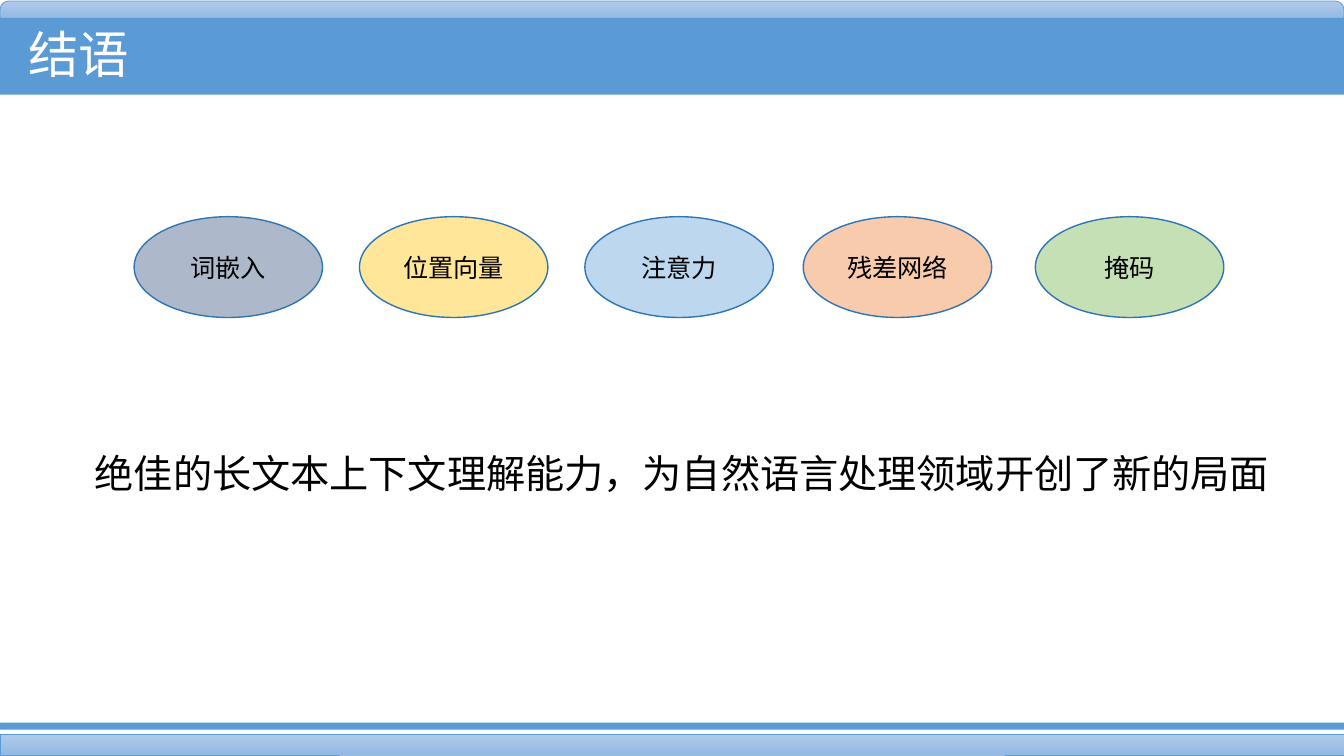
from dataclasses import dataclass

import pptx
import pptx.dml.color
import pptx.enum.shapes
import pptx.enum.text
import pptx.oxml
import pptx.oxml.ns
import pptx.presentation
import pptx.shapes.autoshape
import pptx.slide
import pptx.util

Pt = pptx.util.Pt
Shape = pptx.enum.shapes.MSO_SHAPE
Align = pptx.enum.text.PP_ALIGN
Anchor = pptx.enum.text.MSO_ANCHOR

SLIDE_WIDTH, SLIDE_HEIGHT = 960, 540
BLUE = "5B9BD5"
PALE_BLUES = ("B1CBE9", "93B9E4")
CJK_FONT = "Noto Sans CJK SC"
CONCEPT_TOP, CONCEPT_WIDTH, CONCEPT_HEIGHT = 154.8, 134.6, 72


@dataclass(frozen=True)
class Band:
    top: float
    height: float
    colors: tuple[str, ...]
    kind: Shape = Shape.RECTANGLE


@dataclass(frozen=True)
class Concept:
    label: str
    left: float
    color: str


BANDS = (
    Band(0.7, 12.3, PALE_BLUES, Shape.ROUND_2_SAME_RECTANGLE),
    Band(13, 54.7, (BLUE,)),
    Band(524.2, 15.1, PALE_BLUES),
    Band(516.2, 5, (BLUE,)),
)
CONCEPTS = (
    Concept("词嵌入", 95.8, "ADB9CA"),
    Concept("位置向量", 256.8, "FFE699"),
    Concept("注意力", 417.8, "BDD7EE"),
    Concept("残差网络", 573.8, "F8CBAD"),
    Concept("掩码", 739.6, "C5E0B4"),
)


def rgb(color: str) -> pptx.dml.color.RGBColor:
    return pptx.dml.color.RGBColor.from_string(color)


def write(shape: pptx.shapes.autoshape.Shape, text: str, *, size: float,
          font: str = "Calibri", color: str = "000000",
          align: Align = Align.CENTER, anchor: Anchor = Anchor.MIDDLE,
          wrap: bool = True) -> None:
    frame = shape.text_frame
    frame.word_wrap = wrap
    frame.vertical_anchor = anchor
    paragraph = frame.paragraphs[0]
    paragraph.alignment = align
    run = paragraph.add_run()
    run.text = text
    run.font.size = Pt(size)
    run.font.name = font
    run.font.color.rgb = rgb(color)
    east_asian = pptx.oxml.parse_xml(
        f'<a:ea {pptx.oxml.ns.nsdecls("a")} typeface="{CJK_FONT}"/>')
    run.font._element.find(pptx.oxml.ns.qn("a:latin")).addnext(east_asian)


def add_band(slide: pptx.slide.Slide, band: Band) -> None:
    """Draw a full-width band, outlined when its fill is a gradient."""
    bar = slide.shapes.add_shape(
        band.kind, Pt(0), Pt(band.top), Pt(SLIDE_WIDTH), Pt(band.height))
    bar.shadow.inherit = False
    if band.kind == Shape.ROUND_2_SAME_RECTANGLE:
        bar.adjustments[0] = 0.5
    if len(band.colors) == 1:
        bar.fill.solid()
        bar.fill.fore_color.rgb = rgb(band.colors[0])
        bar.line.fill.background()
        return
    bar.fill.gradient()
    bar.fill.gradient_angle = 270
    for stop, color in zip(bar.fill.gradient_stops, band.colors):
        stop.color.rgb = rgb(color)
    bar.line.color.rgb = rgb(BLUE)
    bar.line.width = Pt(0.5)


def add_concept(slide: pptx.slide.Slide, concept: Concept) -> None:
    oval = slide.shapes.add_shape(
        Shape.OVAL, Pt(concept.left), Pt(CONCEPT_TOP),
        Pt(CONCEPT_WIDTH), Pt(CONCEPT_HEIGHT))
    oval.shadow.inherit = False
    oval.fill.solid()
    oval.fill.fore_color.rgb = rgb(concept.color)
    oval.line.color.rgb = rgb("2E75B6")
    oval.line.width = Pt(1)
    write(oval, concept.label, size=18)


def main() -> None:
    deck: pptx.presentation.Presentation = pptx.Presentation()
    deck.slide_width, deck.slide_height = Pt(SLIDE_WIDTH), Pt(SLIDE_HEIGHT)
    slide = deck.slides.add_slide(deck.slide_layouts[6])

    for band in BANDS:
        add_band(slide, band)

    title = slide.shapes.add_textbox(Pt(13), Pt(13), Pt(86.4), Pt(51))
    write(title, "结语", size=36, font=CJK_FONT, color="FFFFFF",
          align=Align.LEFT, anchor=Anchor.TOP, wrap=False)

    for concept in CONCEPTS:
        add_concept(slide, concept)

    conclusion = slide.shapes.add_textbox(Pt(56.9), Pt(317.5), Pt(860.4), Pt(41))
    write(conclusion, "绝佳的长文本上下文理解能力，为自然语言处理领域开创了新的局面",
          size=28, anchor=Anchor.TOP)

    deck.save("out.pptx")


if __name__ == "__main__":
    main()
